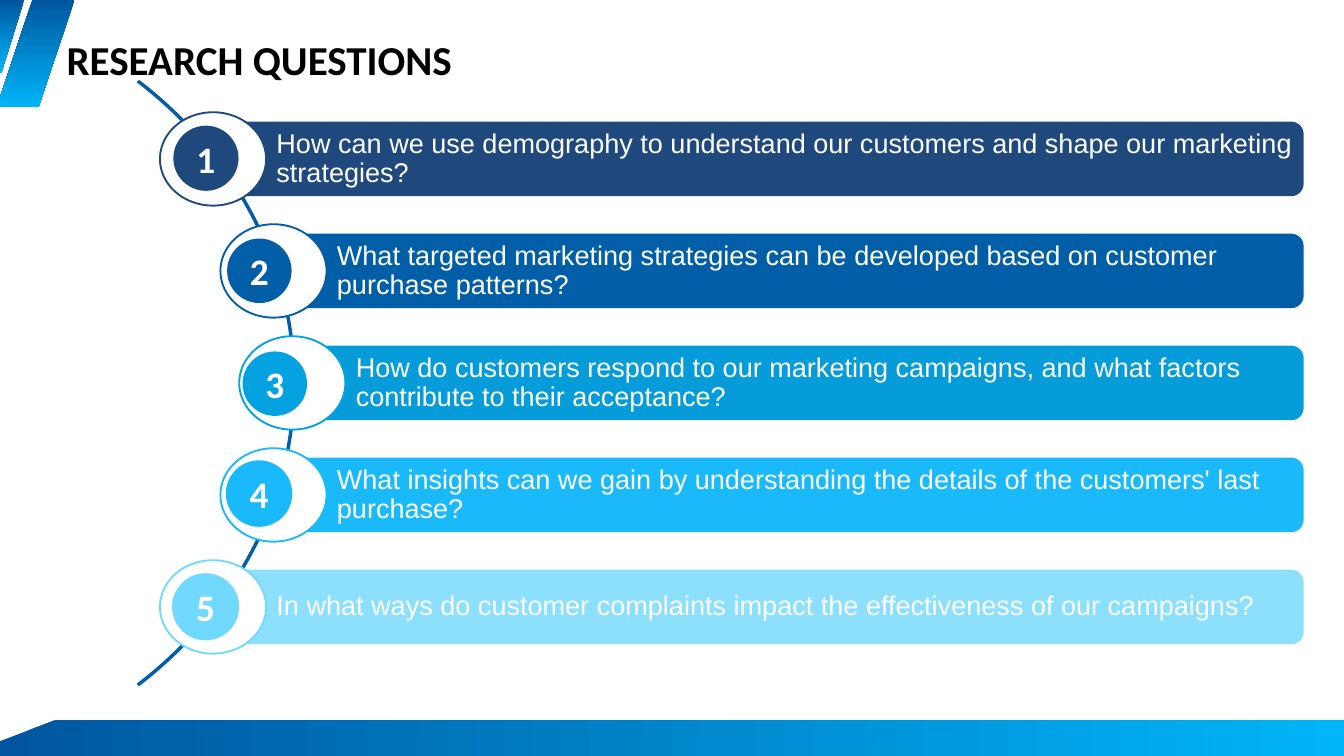
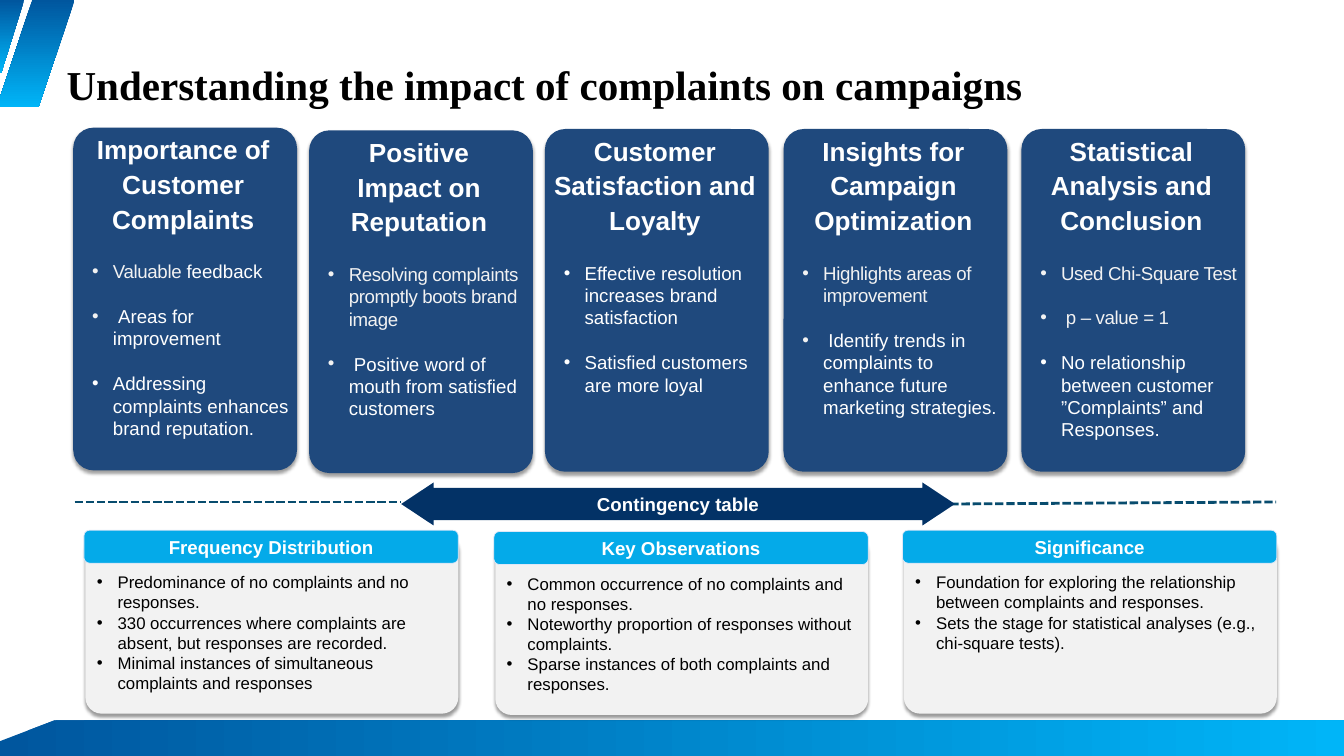
from lxml import etree
from pptx import Presentation
from pptx.dml.color import RGBColor
from pptx.enum.dml import MSO_LINE
from pptx.enum.shapes import MSO_CONNECTOR, MSO_SHAPE
from pptx.enum.text import MSO_ANCHOR, MSO_AUTO_SIZE, PP_ALIGN
from pptx.oxml.ns import qn
from pptx.util import Inches, Pt

ROUNDED, OVAL = MSO_SHAPE.ROUNDED_RECTANGLE, MSO_SHAPE.OVAL
ARC, DOUBLE_ARROW = MSO_SHAPE.BLOCK_ARC, MSO_SHAPE.LEFT_RIGHT_ARROW
STRAIGHT, DASH = MSO_CONNECTOR.STRAIGHT, MSO_LINE.SQUARE_DOT
TOP, MIDDLE = MSO_ANCHOR.TOP, MSO_ANCHOR.MIDDLE
LEFT, CENTER = PP_ALIGN.LEFT, PP_ALIGN.CENTER

WHITE = RGBColor(0xFF, 0xFF, 0xFF)
BLACK = RGBColor(0x00, 0x00, 0x00)
OFF_WHITE = RGBColor(0xF2, 0xF2, 0xF2)
NAVY = RGBColor(0x1F, 0x49, 0x7D)
BLUE = RGBColor(0x02, 0x5F, 0xA7)
CERULEAN = RGBColor(0x05, 0x9C, 0xD9)
BRIGHT = RGBColor(0x05, 0xA2, 0xE1)
SKY = RGBColor(0x1A, 0xBA, 0xFA)
PALE = RGBColor(0x8C, 0xE0, 0xFE)
PALE_RING = RGBColor(0x72, 0xD9, 0xFE)
ARROW_NAVY = RGBColor(0x03, 0x32, 0x66)
DASH_TEAL = RGBColor(0x08, 0x4C, 0x6E)
HEADER_BLUE = RGBColor(0x04, 0xAA, 0xE9)
HEADER_EDGE = RGBColor(0xDE, 0xE7, 0xF7)
BAND_DARK = RGBColor(0x00, 0x56, 0x9E)
BAND_LIGHT = RGBColor(0x00, 0xB5, 0xF8)


def add_block(slide, kind, box, fill, edge=None, weight=2, shadow=False):
    """Add a filled preset shape; box is left, top, width, height in inches."""
    block = slide.shapes.add_shape(kind, *map(Inches, box))
    block.shadow.inherit = False
    block.fill.solid()
    block.fill.fore_color.rgb = fill
    if edge is None:
        block.line.fill.background()
    else:
        block.line.color.rgb = edge
        block.line.width = Pt(weight)
    if shadow:
        effects = block._element.spPr.find(qn("a:effectLst"))
        outer = etree.SubElement(effects, qn("a:outerShdw"), blurRad=str(Pt(4)),
                                 dist=str(Pt(3)), dir="5400000", rotWithShape="0")
        black = etree.SubElement(outer, qn("a:srgbClr"), val="000000")
        etree.SubElement(black, qn("a:alpha"), val="40000")
    return block


def add_line(frame, runs, size, font="Arial", bold=False, align=LEFT, bullet=False):
    """Add one paragraph of (text, colour) runs; off-white runs are set tighter."""
    line = frame.add_paragraph() if frame.text else frame.paragraphs[0]
    if bullet:
        props = line._p.get_or_add_pPr()
        props.set("marL", str(Inches(0.31)))
        props.set("indent", str(-Inches(0.31)))
        etree.SubElement(props, qn("a:buFont"), typeface="Arial")
        etree.SubElement(props, qn("a:buChar"), char="•")
    line.alignment = align
    for text, color in runs:
        run = line.add_run()
        run.text = text
        run.font.name, run.font.size, run.font.bold = font, Pt(size), bold
        run.font.color.rgb = color
        if color == OFF_WHITE:
            run._r.get_or_add_rPr().set("spc", "-40")
    return line


prs = Presentation()
prs.slide_width, prs.slide_height = Inches(20), Inches(11.25)
layout = prs.slide_layouts.get_by_name("Title Only")

# Slides and their titles
titles = [("RESEARCH QUESTIONS", "Calibri", 0.51),
          ("Understanding the impact of complaints on campaigns", "Times New Roman", 0.88)]
for text, font, top in titles:
    title = prs.slides.add_slide(layout).shapes.title
    title.left, title.top = Inches(0.99), Inches(top)
    title.width, title.height = Inches(17.76), Inches(0.74)
    frame = title.text_frame
    frame.auto_size = MSO_AUTO_SIZE.NONE
    frame.vertical_anchor = MIDDLE
    frame.margin_left = frame.margin_right = frame.margin_top = frame.margin_bottom = 0
    add_line(frame, [(text, BLACK)], 44, font, bold=True)
questions, impact = prs.slides

# Corner stripes and bottom band, kept on the shared layout
bands = [
    ([(0, 0), (0.36, 0), (0.02, 1.08), (0, 1.08)], 270),
    ([(0.81, 10.72), (20, 10.72), (20, 11.25), (0, 11.25), (0, 11.03)], 0),
    ([(0.48, 0), (1.11, 0), (0.57, 1.6), (0, 1.6), (0, 1.45)], 270),
]
for number, (corners, angle) in enumerate(bands):
    points = [(Inches(x), Inches(y)) for x, y in corners]
    outline = questions.shapes.build_freeform(*points[0])
    outline.add_line_segments(points[1:], close=True)
    band = outline.convert_to_shape()
    band.shadow.inherit = False
    band.line.fill.background()
    band.fill.gradient()
    band.fill.gradient_angle = angle
    for stop, color in zip(band.fill.gradient_stops, (BAND_DARK, BAND_LIGHT)):
        stop.color.rgb = color
    stops = band.fill.gradient_stops
    stops[0].position, stops[1].position = 0, 1
    band._element.nvSpPr.cNvPr.set("id", str(20 + number))
    layout.shapes._spTree.insert(2 + number, band._element)

# Slide 1: arc with five numbered questions
arc = add_block(questions, ARC, (-9.24, -0.28, 13.63, 11.96), BLUE, BLUE)
arc.adjustments[0], arc.adjustments[1], arc.adjustments[2] = 189, 27, 0.002

# question, ring left, bar colour, ring colour, disc left, top and size
rows = [
    ("How can we use demography to understand our customers and shape our marketing strategies?",
     2.38, NAVY, NAVY, (2.58, 1.87, 0.97)),
    ("What targeted marketing strategies can be developed based on customer purchase patterns?",
     3.28, BLUE, BLUE, (3.38, 3.55, 0.96)),
    ("How do customers respond to our marketing campaigns, and what factors contribute to their acceptance?",
     3.56, CERULEAN, BRIGHT, (3.61, 5.23, 0.96)),
    ("What insights can we gain by understanding the details of the customers' last purchase?",
     3.28, SKY, SKY, (3.36, 6.85, 0.99)),
    ("In what ways do customer complaints impact the effectiveness of our campaigns?",
     2.38, PALE, PALE_RING, (2.56, 8.53, 1)),
]
for number, (question, ring_left, bar_color, ring_color, disc) in enumerate(rows):
    ring_top = 1.67 + number * 5 / 3
    bar_left = ring_left + 0.79
    bar = add_block(questions, ROUNDED, (bar_left, ring_top + 0.14, 19.4 - bar_left, 1.11), bar_color)
    frame = bar.text_frame
    frame.margin_left, frame.margin_right = Inches(0.89), Inches(0.08)
    frame.vertical_anchor = MIDDLE
    add_line(frame, [(question, WHITE)], 29).line_spacing = 0.9
    add_block(questions, OVAL, (ring_left, ring_top, 1.58, 1.39), WHITE, ring_color)
    disc_left, disc_top, size = disc
    badge = add_block(questions, OVAL, (disc_left, disc_top, size, size), ring_color)
    add_line(badge.text_frame, [(str(number + 1), WHITE)], 40, "Calibri", True, CENTER)

# Slide 2: five cards; each point is its tight part and its normal part
cards = [
    (1.09, 1.9, ["Importance of Customer Complaints"],
     [("Valuable ", "feedback"), (" ", "Areas for improvement"),
      ("", "Addressing complaints enhances brand reputation.")]),
    (4.6, 1.94, ["Positive", "Impact on Reputation"],
     [("Resolving complaints promptly boots brand image", ""),
      (" ", "Positive word of mouth from satisfied customers")]),
    (8.11, 1.92, ["Customer Satisfaction and", "Loyalty"],
     [("", "Effective resolution increases brand satisfaction"),
      ("", "Satisfied customers are more loyal")]),
    (11.66, 1.92, ["Insights for Campaign Optimization"],
     [("Highlights areas of improvement", ""),
      (" ", "Identify trends in complaints to enhance future marketing strategies.")]),
    (15.2, 1.92, ["Statistical Analysis and Conclusion"],
     [("Used Chi-Square Test", ""), (" p – value = 1", ""),
      ("", "No relationship between customer ”Complaints” and Responses.")]),
]
for left, top, heading, points in cards:
    card = add_block(impact, ROUNDED, (left, top, 3.33, 5.1), NAVY, shadow=True)
    card.adjustments[0] = 0.091
    frames = []
    for dx, dy, width, height in [(0.1, 0.04, 3.07, 1.55), (0.28, 1.97, 2.95, 3.1)]:
        box = impact.shapes.add_textbox(*map(Inches, (left + dx, top + dy, width, height)))
        frame = box.text_frame
        frame.word_wrap = True
        frame.margin_left = frame.margin_right = frame.margin_top = frame.margin_bottom = 0
        frames.append(frame)
    for text in heading:
        add_line(frames[0], [(text, WHITE)], 28, bold=True, align=CENTER).line_spacing = Pt(37.1)
    for number, (tight, normal) in enumerate(points):
        runs = [(text, color) for text, color in ((tight, OFF_WHITE), (normal, WHITE)) if text]
        point = add_line(frames[1], runs, 20, bullet=True)
        if number:
            point.space_before = Pt(24)

# Divider: double arrow between dashed lines
for x1, y1, x2, y2 in [(1.11, 7.47, 5.97, 7.47), (14.14, 7.5, 18.99, 7.47)]:
    dashes = impact.shapes.add_connector(STRAIGHT, *map(Inches, (x1, y1, x2, y2)))
    dashes.line.color.rgb = DASH_TEAL
    dashes.line.width = Pt(3)
    dashes.line.dash_style = DASH
    etree.SubElement(dashes._element.spPr, qn("a:effectLst"))
divider = add_block(impact, DOUBLE_ARROW, (5.97, 7.18, 8.24, 0.64), ARROW_NAVY)
divider.adjustments[0], divider.adjustments[1] = 0.75, 0.755
divider.text_frame.vertical_anchor = MIDDLE
add_line(divider.text_frame, [("Contingency table", WHITE)], 20, bold=True, align=CENTER)

# Three panels with header strips
panels = [
    (1.27, 7.94, "Frequency Distribution",
     ["Predominance of no complaints and no responses.",
      "330 occurrences where complaints are absent, but responses are recorded.",
      "Minimal instances of simultaneous complaints and responses"]),
    (7.37, 7.96, "Key Observations",
     ["Common occurrence of no complaints and no responses.",
      "Noteworthy proportion of responses without complaints.",
      "Sparse instances of both complaints and responses."]),
    (13.45, 7.94, "Significance",
     ["Foundation for exploring the relationship between complaints and responses.",
      "Sets the stage for statistical analyses (e.g., chi-square tests)."]),
]
for left, top, heading, findings in panels:
    panel = add_block(impact, ROUNDED, (left, top, 5.55, 2.68), OFF_WHITE, shadow=True)
    panel.adjustments[0] = 0.091
    panel.text_frame.vertical_anchor = TOP
    panel.text_frame.margin_top = Inches(0.5)
    for finding in findings:
        add_line(panel.text_frame, [(finding, BLACK)], 18, bullet=True)
    header = add_block(impact, ROUNDED, (left - 0.02, top - 0.05, 5.57, 0.49),
                       HEADER_BLUE, HEADER_EDGE, 0.75)
    header.text_frame.vertical_anchor = MIDDLE
    add_line(header.text_frame, [(heading, WHITE)], 20, bold=True, align=CENTER)

prs.save("out.pptx")
